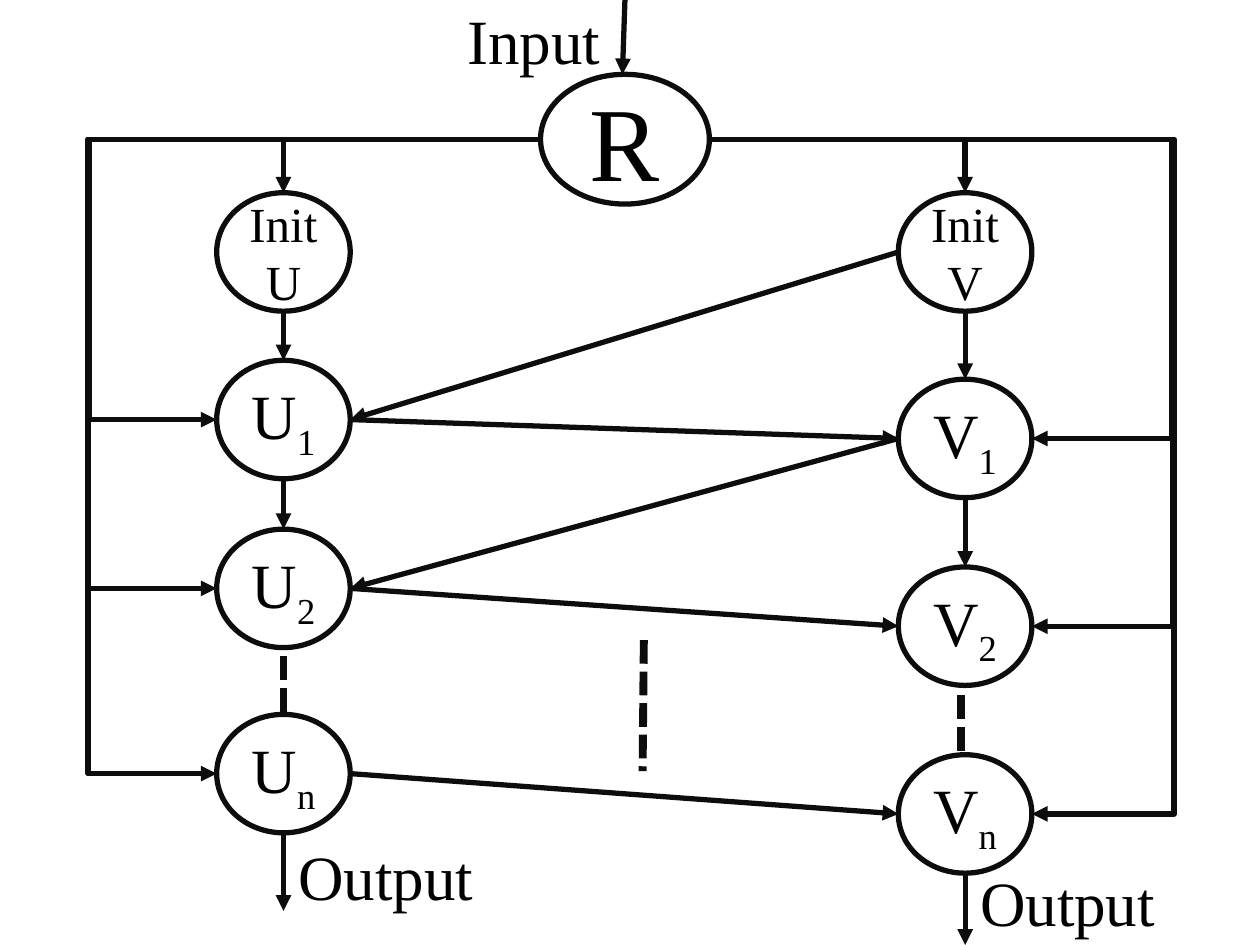
from lxml.etree import SubElement
from pptx import Presentation
from pptx.dml.color import RGBColor
from pptx.enum.dml import MSO_LINE
from pptx.enum.shapes import MSO_CONNECTOR, MSO_SHAPE
from pptx.enum.text import MSO_ANCHOR, PP_ALIGN
from pptx.oxml.ns import qn
from pptx.util import Inches, Pt

INK, BLACK, FONT = "0D0D0D", "000000", "Times New Roman"
SITES = {"top": (0, 0.5, 0), "left": (2, 0, 0.5), "bottom": (4, 0.5, 1), "right": (6, 1, 0.5)}


def rgb(value):
    """Turn a hex string into a colour."""
    return RGBColor.from_string(value)


def style_line(line, width=3):
    """Give a line its ink colour and width."""
    line.color.rgb = rgb(INK)
    line.width = Pt(width)


def add_run(p, text, size, subscript=False):
    """Add a run in the diagram font."""
    r = p.add_run()
    r.text = text
    for name, value in {"size": Pt(size), "name": FONT}.items():
        setattr(r.font, name, value)
    r.font.color.rgb = rgb(BLACK)
    if subscript:
        r.font._element.set("baseline", "-25000")


def add_node(s, box, lines, size, sub=""):
    """Add an outlined ellipse with centred lines and an optional subscript."""
    sp = s.shapes.add_shape(MSO_SHAPE.OVAL, *map(Inches, box))
    sp.shadow.inherit = False
    sp.fill.background()
    style_line(sp.line)
    tf = sp.text_frame
    frame = {"word_wrap": False, "vertical_anchor": MSO_ANCHOR.MIDDLE,
             "margin_left": 0, "margin_right": 0, "margin_top": 0, "margin_bottom": 0}
    for name, value in frame.items():
        setattr(tf, name, value)
    for i, text in enumerate(lines):
        p = tf.add_paragraph() if i else tf.paragraphs[0]
        p.alignment = PP_ALIGN.CENTER
        add_run(p, text, size)
    if sub:
        add_run(p, sub, size, subscript=True)
    return sp


def add_label(s, box, text):
    """Add a plain text label."""
    tf = s.shapes.add_textbox(*map(Inches, box)).text_frame
    tf.word_wrap = True
    add_run(tf.paragraphs[0], text, 36)


def add_line(s, start, end, kind=MSO_CONNECTOR.STRAIGHT, dotted=False):
    """Add an arrow, or a heavier dotted line, between two points in EMU."""
    c = s.shapes.add_connector(kind, *start, *end)
    style_line(c.line, 4.5 if dotted else 3)
    SubElement(c._element.spPr, qn("a:effectLst"))
    if dotted:
        c.line.dash_style = MSO_LINE.SQUARE_DOT
    else:
        SubElement(c._element.spPr.find(qn("a:ln")), qn("a:tailEnd"), type="triangle")
    return c


def site_point(sp, side):
    """Return the point in EMU at one side of a node."""
    _, fx, fy = SITES[side]
    return int(sp.left + fx * sp.width), int(sp.top + fy * sp.height)


def link(s, source, side, target, target_side, kind=MSO_CONNECTOR.STRAIGHT):
    """Add an arrow glued to two nodes."""
    c = add_line(s, site_point(source, side), site_point(target, target_side), kind)
    glue = c._element.find(".//" + qn("p:cNvCxnSpPr"))
    for tag, sp, end in (("a:stCxn", source, side), ("a:endCxn", target, target_side)):
        SubElement(glue, qn(tag), id=str(sp.shape_id), idx=str(SITES[end][0]))
    return c


def link_elbow(s, root, side, target, target_side, trunk=None):
    """Add a bent arrow, running down a trunk at the given x if there is one."""
    c = link(s, root, side, target, target_side, MSO_CONNECTOR.ELBOW)
    geom = c._element.spPr.find(qn("a:prstGeom"))
    if trunk is None:
        geom.set("prst", "bentConnector2")
        return
    ratio = (Inches(trunk) - c.begin_x) / (c.end_x - c.begin_x)
    av = geom.find(qn("a:avLst"))
    if av is None:
        av = SubElement(geom, qn("a:avLst"))
    SubElement(av, qn("a:gd"), name="adj1", fmla=f"val {round(ratio * 100000)}")


def add_column(s, letter, left, tops):
    """Add the start node and the three indexed nodes of one column."""
    start = add_node(s, (left, 1.53, 1.06, 0.94), ("Init", letter), 28)
    return [start] + [add_node(s, (left, top, 1.06, 0.94), (letter,), 36, sub)
                      for top, sub in zip(tops, "12n")]


def main():
    """Build the slide."""
    prs = Presentation()
    prs.slide_width, prs.slide_height = Inches(10), Inches(7.5)
    s = prs.slides.add_slide(prs.slide_layouts[6])
    root = add_node(s, (4.29, 0.59, 1.34, 1.03), ("R",), 60)
    u = add_column(s, "U", 1.72, (2.86, 4.2, 5.67))
    v = add_column(s, "V", 7.13, (3.01, 4.5, 5.99))

    for side, column, trunks in (("left", u, (0.71, 0.7, 0.7)), ("right", v, (9.3, 9.31, 9.32))):
        link_elbow(s, root, side, column[0], "top")
        for node, trunk in zip(column[1:], trunks):
            link_elbow(s, root, side, node, side, trunk)
    for upper, lower in (u[:2], u[1:3], v[:2], v[1:3]):
        link(s, upper, "bottom", lower, "top")
    for i in (1, 2, 3):
        link(s, u[i], "right", v[i], "left")
    for i in (0, 1):
        link(s, v[i], "left", u[i + 1], "right")

    for x1, y1, x2, y2, dotted in (
            (4.96, 0, 4.94, 0.59, False), (2.25, 6.61, 2.25, 7.23, False),
            (7.66, 6.94, 7.66, 7.5, False), (2.25, 5.21, 2.25, 5.68, True),
            (5.11, 5.08, 5.1, 6.12, True), (7.63, 5.52, 7.63, 5.98, True)):
        add_line(s, (Inches(x1), Inches(y1)), (Inches(x2), Inches(y2)), dotted=dotted)
    for box, text in (((3.61, -0.04, 1.32, 0.71), "Input"),
                      ((2.27, 6.6, 1.79, 0.71), "Output"),
                      ((7.68, 6.8, 1.67, 0.71), "Output")):
        add_label(s, box, text)
    prs.save("out.pptx")


main()
